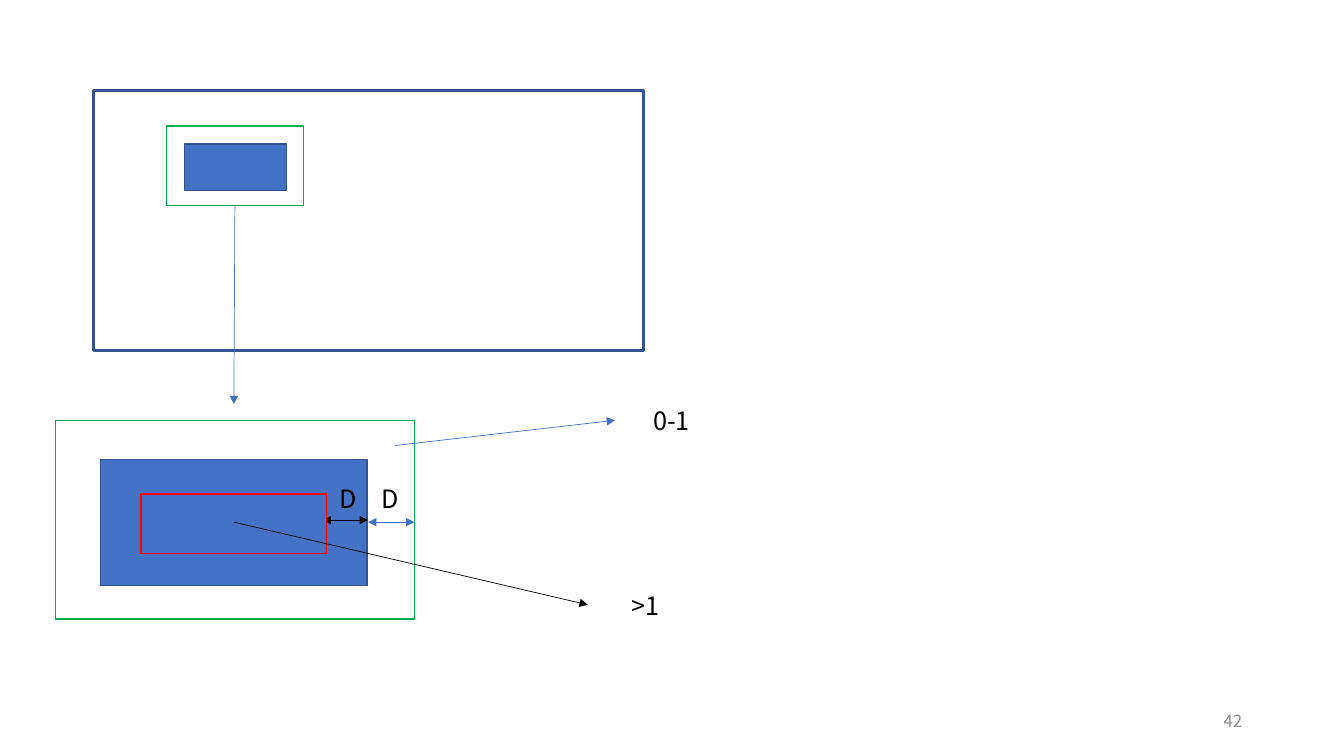
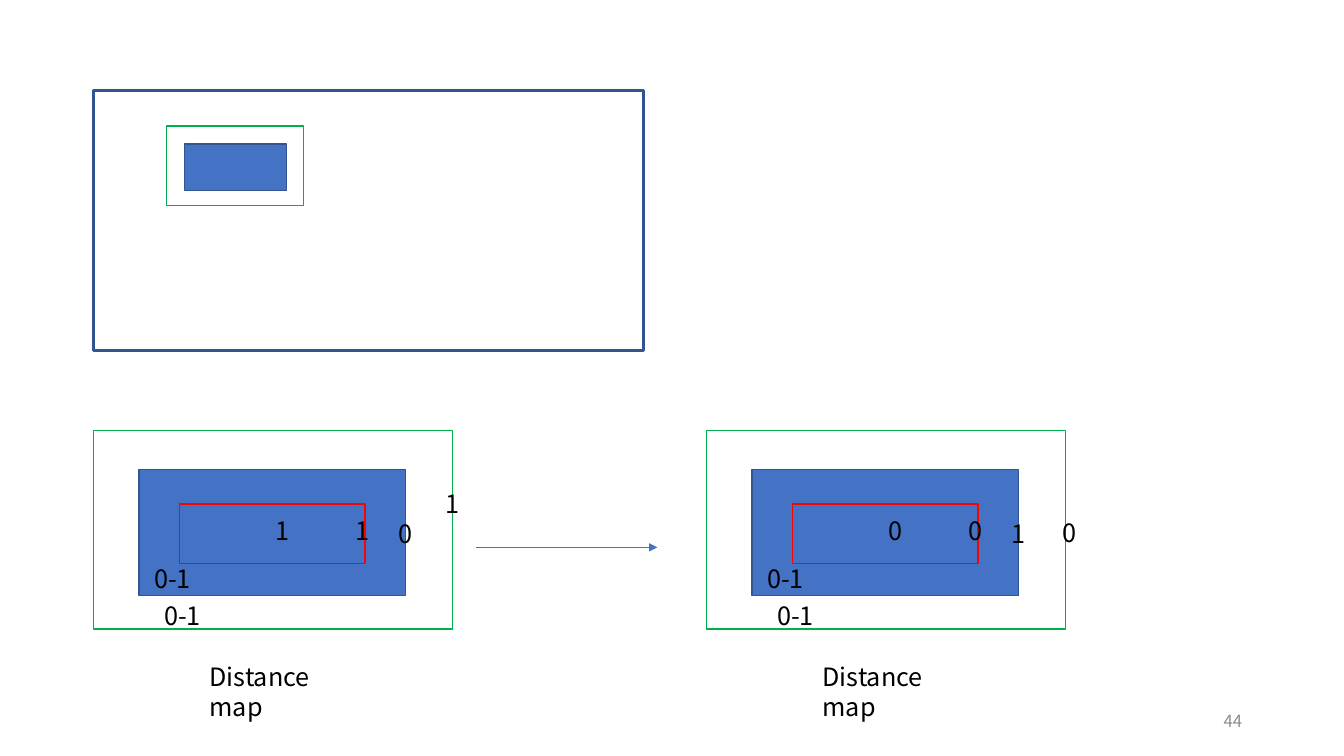
from pptx import Presentation
from pptx.dml.color import RGBColor
from pptx.enum.shapes import MSO_CONNECTOR, MSO_SHAPE
from pptx.enum.text import MSO_ANCHOR, PP_ALIGN
from pptx.oxml.ns import qn
from pptx.util import Inches, Pt
from lxml.etree import SubElement

FONT = "Noto Sans CJK SC"
COLOURS = {
    "blue": "4472C4",
    "navy": "325491",
    "green": "00B050",
    "red": "FF0000",
    "black": "000000",
    "grey": "8C8C8C",
}
# Rectangles: horizontal offset, vertical offset, width, height, fill, line, line width
IMAGE_FRAME = [
    (0, 0, 5.45, 2.58, None, "navy", 2.25),
    (0.9, 0.53, 1.01, 0.46, "blue", "navy", 1),
    (0.72, 0.35, 1.36, 0.79, None, "green", 1),
]
OUTER_ZONES = [
    (0, 0, 3.56, 1.97, None, "green", 1),
    (0.45, 0.39, 2.64, 1.25, "blue", "navy", 1),
]
CORE_ZONE = [(0.85, 0.73, 1.84, 0.59, "blue", "red", 1)]


def add_rectangles(slide, left, top, rectangles):
    """Draw a group of rectangles offset from a common top-left corner."""
    for x, y, width, height, fill, line, line_width in rectangles:
        shape = slide.shapes.add_shape(
            MSO_SHAPE.RECTANGLE,
            Inches(left + x), Inches(top + y), Inches(width), Inches(height))
        shape.shadow.inherit = False
        if fill:
            shape.fill.solid()
            shape.fill.fore_color.rgb = RGBColor.from_string(COLOURS[fill])
        else:
            shape.fill.background()
        shape.line.color.rgb = RGBColor.from_string(COLOURS[line])
        shape.line.width = Pt(line_width)


def add_arrow(slide, start, end, colour, both_ends=False):
    arrow = slide.shapes.add_connector(
        MSO_CONNECTOR.STRAIGHT, *[Inches(value) for value in (*start, *end)])
    arrow.line.color.rgb = RGBColor.from_string(COLOURS[colour])
    arrow.line.width = Pt(0.5)
    properties = arrow._element.spPr.find(qn("a:ln"))
    for tag in ("a:headEnd", "a:tailEnd") if both_ends else ("a:tailEnd",):
        SubElement(properties, qn(tag)).set("type", "triangle")
    SubElement(arrow._element.spPr, qn("a:effectLst"))


presentation = Presentation()
presentation.slide_width = Inches(13.33)
presentation.slide_height = Inches(7.5)
blank_layout = presentation.slide_layouts[6]
zones_slide = presentation.slides.add_slide(blank_layout)
maps_slide = presentation.slides.add_slide(blank_layout)

# Parts on both slides
for slide, number in ((zones_slide, "42"), (maps_slide, "44")):
    add_rectangles(slide, 0.93, 0.9, IMAGE_FRAME)
    box = slide.shapes.add_textbox(Inches(9.42), Inches(6.95), Inches(3), Inches(0.4))
    box.text_frame.word_wrap = True
    box.text_frame.vertical_anchor = MSO_ANCHOR.MIDDLE
    paragraph = box.text_frame.paragraphs[0]
    paragraph.text = number
    paragraph.alignment = PP_ALIGN.RIGHT
    paragraph.font.name = FONT
    paragraph.font.size = Pt(12)
    paragraph.font.color.rgb = RGBColor.from_string(COLOURS["grey"])

# Enlarged region with its margins
add_rectangles(zones_slide, 0.55, 4.17, OUTER_ZONES)
add_arrow(zones_slide, (2.33, 2.04), (2.32, 4.01), "blue")
add_arrow(zones_slide, (3.65, 5.18), (4.11, 5.18), "blue", both_ends=True)
add_arrow(zones_slide, (3.2, 5.16), (3.65, 5.16), "black", both_ends=True)
add_rectangles(zones_slide, 0.55, 4.17, CORE_ZONE)
add_arrow(zones_slide, (3.92, 4.42), (6.1, 4.17), "blue")
add_arrow(zones_slide, (2.32, 5.18), (5.83, 6), "black")

# Labels: slide, left, top, width, text
labels = [
    (zones_slide, 3.69, 4.75, 0.38, "D"),
    (zones_slide, 3.27, 4.75, 0.38, "D"),
    (zones_slide, 6.38, 3.97, 0.59, "0-1"),
    (zones_slide, 6.17, 5.81, 0.5, ">1"),
    (maps_slide, 4.32, 4.8, 0.34, "1"),
    (maps_slide, 10.44, 5.08, 0.34, "0"),
]

# Distance maps before and after inversion
for left, inside, border in ((0.93, "1", "0"), (7.01, "0", "1")):
    add_rectangles(maps_slide, left, 4.27, OUTER_ZONES + CORE_ZONE)
    labels += [
        (maps_slide, left + 1.05, 6.51, 1.68, "Distance map"),
        (maps_slide, left + 2.5, 5.06, 0.34, inside),
        (maps_slide, left + 1.7, 5.06, 0.34, inside),
        (maps_slide, left + 2.92, 5.09, 0.34, border),
        (maps_slide, left + 0.5, 5.54, 0.59, "0-1"),
        (maps_slide, left + 0.6, 5.91, 0.59, "0-1"),
    ]
add_arrow(maps_slide, (4.72, 5.43), (6.52, 5.43), "blue")

for slide, left, top, width, text in labels:
    box = slide.shapes.add_textbox(Inches(left), Inches(top), Inches(width), Inches(0.4))
    box.text_frame.word_wrap = True
    paragraph = box.text_frame.paragraphs[0]
    paragraph.text = text
    paragraph.font.name = FONT
    paragraph.font.size = Pt(18)
    paragraph.font.color.rgb = RGBColor.from_string(COLOURS["black"])

presentation.save("out.pptx")
